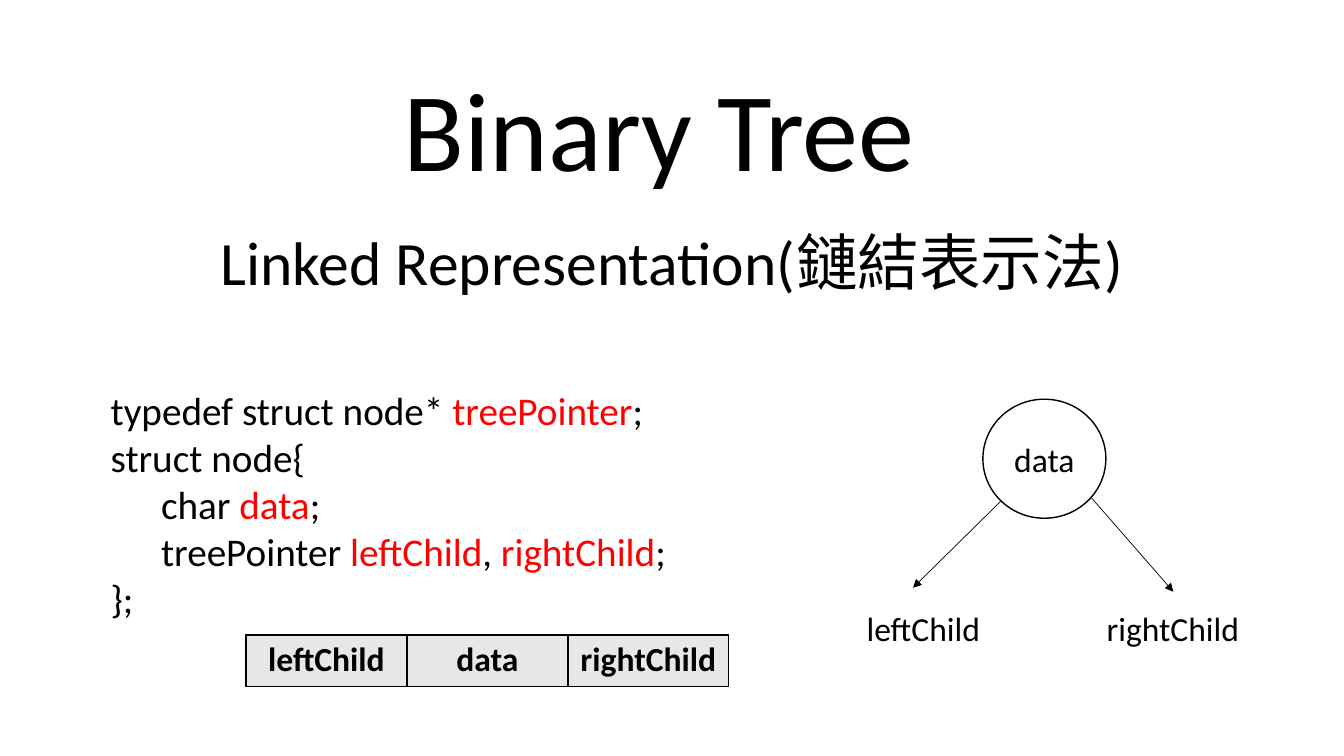
from lxml import etree
from pptx import Presentation
from pptx.dml.color import RGBColor
from pptx.enum import shapes as es, text as et
from pptx.oxml import parse_xml
from pptx.oxml.ns import nsdecls, qn
from pptx.util import Cm, Pt

BLACK, RED, GRAY = "000000", "FF0000", "E7E7E7"
CODE = [
    "typedef struct node* |treePointer|;",
    "struct node{",
    "\tchar |data|;",
    "\ttreePointer |leftChild|,| rightChild|;",
    "};",
]


def color(code):
    return RGBColor.from_string(code)


def cms(*nums):
    return [Cm(n) for n in nums]


def write(frame, *lines, size=24, align=et.PP_ALIGN.LEFT, anchor=et.MSO_ANCHOR.TOP,
          bold=False, space=1.0, before=0, wrap=True):
    """Fill a text frame; every second piece between bars is red."""
    frame.word_wrap = wrap
    frame.auto_size = et.MSO_AUTO_SIZE.NONE
    frame.vertical_anchor = anchor
    for i, line in enumerate(lines):
        para = frame.add_paragraph() if i else frame.paragraphs[0]
        para.alignment, para.line_spacing = align, space
        para.space_before = Pt(before)
        for j, piece in enumerate(line.split("|")):
            run = para.add_run()
            run.text = piece
            font = run.font
            font.name, font.size, font.bold = "Calibri", Pt(size), bold
            font.color.rgb = color(RED if j % 2 else BLACK)


def label(slide, box, *lines, **form):
    write(slide.shapes.add_textbox(*cms(*box)).text_frame, *lines, **form)


def heading(slide, box):
    left, top, width, height = box
    title = slide.shapes.title
    title.left, title.top, title.width, title.height = cms(left, top, width, 3.33)
    mid = et.PP_ALIGN.CENTER
    write(title.text_frame, "Binary Tree ", size=80, align=mid,
          anchor=et.MSO_ANCHOR.BOTTOM, space=0.9)
    label(slide, (left, top + 4.01, width, height - 4.01),
          "Linked Representation(鏈結表示法)", size=44, align=mid, space=0.9, before=10)


def border(cell):
    props = cell._tc.get_or_add_tcPr()
    for side in "LRTB":
        props.append(parse_xml(
            f'<a:ln{side} {nsdecls("a")} w="12700"><a:solidFill>'
            f'<a:srgbClr val="{BLACK}"/></a:solidFill></a:ln{side}>'))


def record(slide, box, names):
    """Draw the fields of a node as a one-row table."""
    table = slide.shapes.add_table(1, len(names), *cms(*box)).table
    table.first_row = table.horz_banding = False
    for col, name in enumerate(names):
        table.columns[col].width = Cm(box[2] / len(names))
        cell = table.cell(0, col)
        border(cell)
        cell.fill.solid()
        cell.fill.fore_color.rgb = color(GRAY)
        write(cell.text_frame, name, align=et.PP_ALIGN.CENTER, bold=True)


def arrow(slide, *ends):
    line = slide.shapes.add_connector(es.MSO_CONNECTOR.STRAIGHT, *cms(*ends))
    line.line.color.rgb = color(BLACK)
    line.line.width = Pt(0.5)
    etree.SubElement(line.line._get_or_add_ln(), qn("a:tailEnd"), type="triangle")
    etree.SubElement(line._element.spPr, qn("a:effectLst"))


def tree(slide, box):
    left, top, width, height = box
    node = slide.shapes.add_shape(
        es.MSO_SHAPE.OVAL, *cms(left + 3.18, top, 3.1, 3))
    node.shadow.inherit = False
    node.fill.background()
    node.line.color.rgb = color(BLACK)
    node.line.width = Pt(1)
    write(node.text_frame, "data", align=et.PP_ALIGN.CENTER,
          anchor=et.MSO_ANCHOR.MIDDLE, wrap=False)
    arrow(slide, left + 3.63, top + 2.57, left + 1.42, top + 4.75)
    arrow(slide, left + 5.92, top + 2.49, left + 7.98, top + 4.85)
    base = top + height - 1.28
    label(slide, (left, base, 3.6, 1.28), "leftChild", wrap=False)
    label(slide, (left + width - 3.88, base, 3.88, 1.28), "rightChild", wrap=False)


def main():
    deck = Presentation()
    deck.slide_width, deck.slide_height = cms(33.87, 19.05)
    slide = deck.slides.add_slide(deck.slide_layouts[5])
    heading(slide, (4.23, 1.73, 25.4, 6.22))
    label(slide, (2.54, 9.6, 16.28, 6.25), *CODE, size=28)
    record(slide, (6.2, 16, 12.17, 1.3), ["leftChild", "data", "rightChild"])
    tree(slide, (21.59, 10.06, 9.93, 6.41))
    deck.save("out.pptx")


if __name__ == "__main__":
    main()
